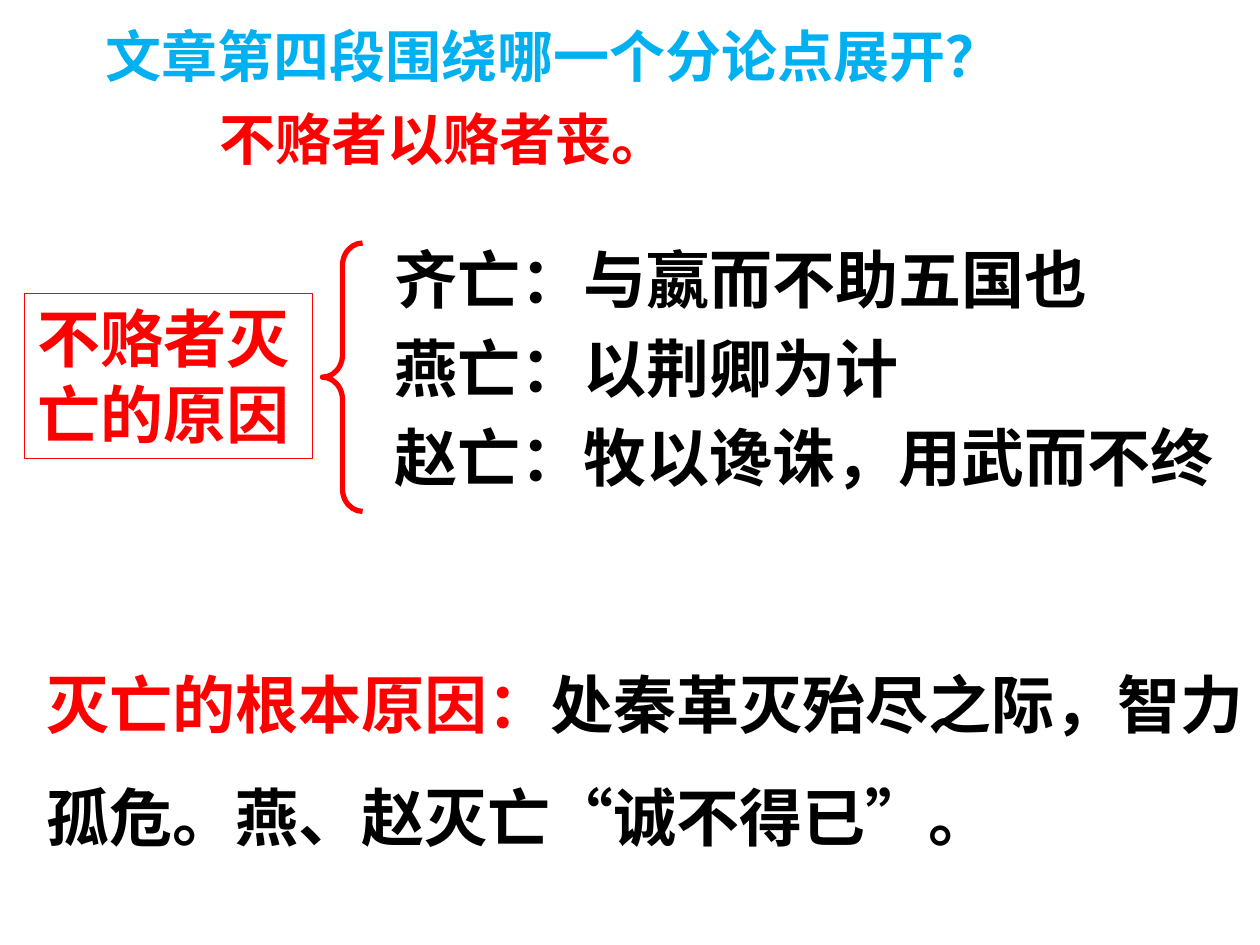
import dataclasses
import pptx
import pptx.dml.color
import pptx.enum.shapes
import pptx.enum.text
import pptx.util

Cm = pptx.util.Cm
Pt = pptx.util.Pt
RED = "FF0000"
BLACK = "000000"
BLUE = "00B0F0"


@dataclasses.dataclass
class Run:
    text: str
    color: str = BLACK
    font: str = "Arial"


@dataclasses.dataclass
class Cause:
    text: str
    width: float


def paint(code: str) -> pptx.dml.color.RGBColor:
    return pptx.dml.color.RGBColor.from_string(code)


def write(shape, *runs: Run, size: int = 36, wrap: bool = True, space: float = 1.0) -> None:
    frame = shape.text_frame
    frame.word_wrap = wrap
    frame.auto_size = pptx.enum.text.MSO_AUTO_SIZE.SHAPE_TO_FIT_TEXT
    frame.vertical_anchor = pptx.enum.text.MSO_ANCHOR.TOP
    para = frame.paragraphs[0]
    para.alignment = pptx.enum.text.PP_ALIGN.LEFT
    para.line_spacing = space
    for item in runs:
        run = para.add_run()
        run.text = item.text
        run.font.name = item.font
        run.font.size = Pt(size)
        run.font.bold = True
        run.font.color.rgb = paint(item.color)


def box(slide, left: float, top: float, width: float, height: float):
    return slide.shapes.add_textbox(Cm(left), Cm(top), Cm(width), Cm(height))


def outline(slide, kind, left: float, top: float, width: float, height: float, line: float):
    shape = slide.shapes.add_shape(kind, Cm(left), Cm(top), Cm(width), Cm(height))
    shape.shadow.inherit = False
    shape.fill.background()
    shape.line.color.rgb = paint(RED)
    shape.line.width = Pt(line)
    return shape


def list_causes(slide, causes: list[Cause], left: float, top: float, step: float) -> None:
    for row, cause in enumerate(causes):
        area = box(slide, left, top + row * step, cause.width, 1.78)
        write(area, Run(cause.text))


def main() -> None:
    deck = pptx.Presentation()
    deck.slide_width = Cm(25.4)
    deck.slide_height = Cm(19.05)
    slide = deck.slides.add_slide(deck.slide_layouts[6])
    kinds = pptx.enum.shapes.MSO_SHAPE

    topic = outline(slide, kinds.RECTANGLE, 0.5, 5.92, 5.8, 3.33, 0.75)
    write(topic, Run("不赂者灭亡的原因", RED))
    brace = outline(slide, kinds.LEFT_BRACE, 6.5, 4.9, 0.81, 5.41, 3)
    brace.adjustments[0] = 0.56

    causes = [
        Cause("齐亡：与嬴而不助五国也", 14.6),
        Cause("燕亡：以荆卿为计", 17),
        Cause("赵亡：牧以谗诛，用武而不终", 19),
    ]
    list_causes(slide, causes, 7.7, 4.72, 1.8)

    root = box(slide, 0.69, 12.52, 24.71, 4.57)
    write(root, Run("灭亡的根本原因：", RED),
          Run("处秦革灭殆尽之际，智力孤危。燕、赵灭亡“诚不得已”。"), space=1.5)
    title = box(slide, 1.88, 0.3, 19.8, 1.63)
    write(title, Run("文章第四段围绕哪一个分论点展开？", BLUE), size=32)
    claim = box(slide, 4.17, 1.98, 9.68, 1.63)
    write(claim, Run("不赂者以赂者丧", RED, "Noto Sans CJK SC"), Run("。", RED),
          size=32, wrap=False)

    deck.save("out.pptx")


if __name__ == "__main__":
    main()
